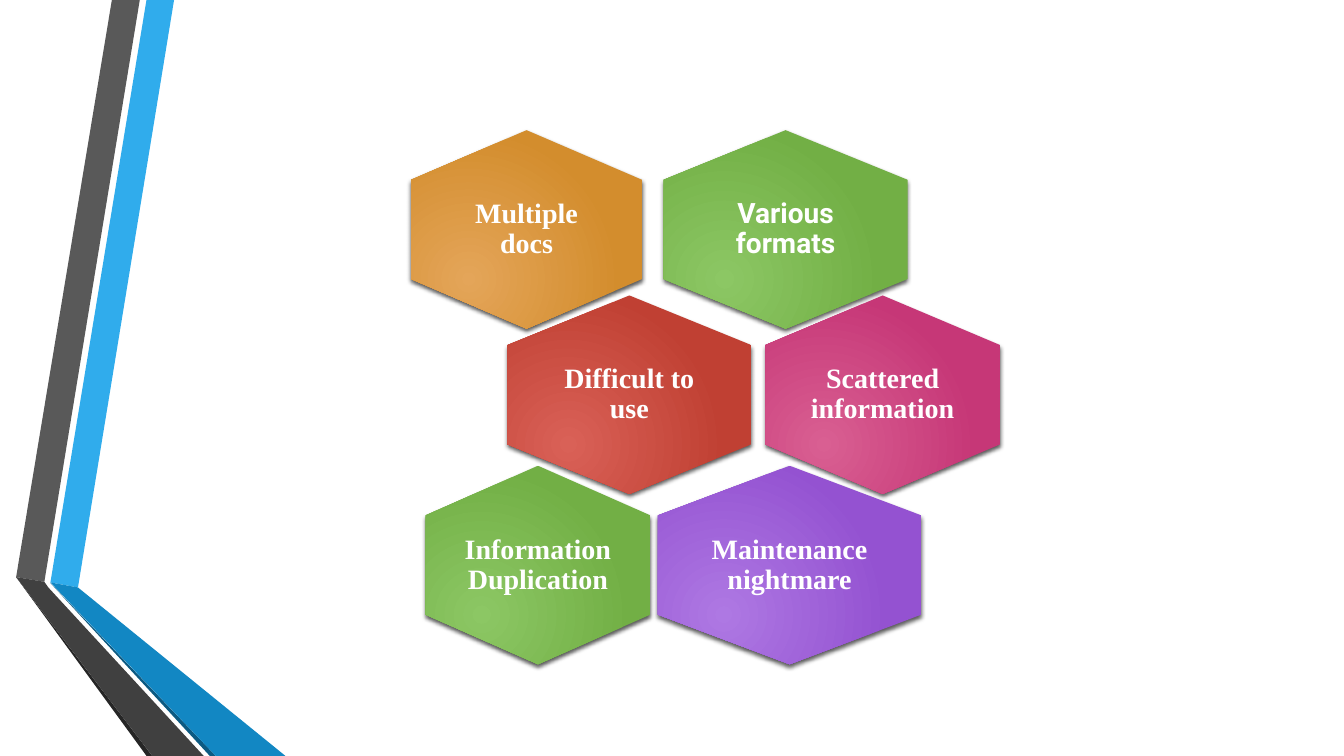
from lxml.etree import SubElement
from pptx import Presentation
from pptx.dml.color import RGBColor
from pptx.enum.shapes import MSO_SHAPE
from pptx.enum.text import MSO_ANCHOR, PP_ALIGN
from pptx.oxml import parse_xml
from pptx.oxml.ns import nsdecls, qn
from pptx.util import Inches, Pt

THEME = {
    "serif": "Times New Roman", "sans": "Roboto", "size": Pt(20), "text": "FFFFFF",
    "sky": "30ACEC", "blue": "1287C3", "navy": "0C5A82",
    "grey": "595959", "charcoal": "404040", "black": "262626",
    # inner and outer gradient colours
    "green": ("8CC764", "72AF45"), "orange": ("E4A559", "D38D2D"),
    "red": ("D96157", "C04033"), "pink": ("D95F92", "C63777"),
    "purple": ("AE78E3", "9452D1"),
}

deck = Presentation()
deck.slide_width, deck.slide_height = Inches(13.33), Inches(7.5)
slide = deck.slides.add_slide(deck.slide_layouts[6])
CELL = deck.slide_width / 40  # square grid: 40 columns by 22.5 rows


def centred(cx, cy, width, height):
    """Left, top, width and height of a box centred on a grid point."""
    return [round(v * CELL) for v in (cx - width / 2, cy - height / 2, width, height)]


def paint_glow(shape, inner, outer):
    """Radial gradient with a soft shadow below and no outline."""
    shape.fill.solid()
    solid = shape._element.spPr.find(qn("a:solidFill"))
    solid.getparent().replace(solid, parse_xml(
        f'<a:gradFill {nsdecls("a")} rotWithShape="1"><a:gsLst>'
        f'<a:gs pos="0"><a:srgbClr val="{inner}"/></a:gs>'
        f'<a:gs pos="100000"><a:srgbClr val="{outer}"/></a:gs></a:gsLst>'
        '<a:path path="circle"><a:fillToRect l="50000" t="100000" r="100000" b="50000"/>'
        '</a:path></a:gradFill>'))
    shape.line.fill.background()
    shape.shadow.inherit = False
    effects = shape._element.spPr.find(qn("a:effectLst"))
    cast = SubElement(effects, qn("a:outerShdw"), blurRad=str(Pt(3)), dist=str(Pt(2)),
                      dir="5400000", rotWithShape="0")
    tint = SubElement(cast, qn("a:srgbClr"), val="000000")
    SubElement(tint, qn("a:alpha"), val="64000")


# Folded ribbons on the left edge, corners in grid cells
ribbons = [
    ("sky", [(1.5, 17.34), (2.32, 17.49), (5.18, 0), (4.36, 0)]),
    ("grey", [(4.16, 0), (3.33, 0), (0.48, 17.18), (1.32, 17.32)]),
    ("black", [(0.48, 17.18), (4.36, 22.5), (4.53, 22.5)]),
    ("navy", [(1.5, 17.36), (6.24, 22.5), (6.42, 22.5)]),
    ("blue", [(1.5, 17.34), (6.42, 22.5), (8.49, 22.5), (2.32, 17.49)]),
    ("charcoal", [(6.06, 22.5), (1.44, 17.49), (1.32, 17.32), (0.48, 17.18), (4.53, 22.5)]),
]
for colour, corners in ribbons:
    start, *rest = [(x * 100, y * 100) for x, y in corners]
    outline = slide.shapes.build_freeform(*start, scale=CELL / 100)
    outline.add_line_segments(rest, close=True)
    ribbon = outline.convert_to_shape()
    ribbon.fill.solid()
    ribbon.fill.fore_color.rgb = RGBColor.from_string(THEME[colour])
    ribbon.line.fill.background()
    ribbon.shadow.inherit = False

# Honeycomb of problems: label, colour, font, centre column, row, width
ROWS = (6.83, 11.75, 16.82)
HEIGHT = 5.91
LABEL_SHARE = 2 / 3
problems = [
    ("Various formats", "green", "sans", 23.38, 0, 7.26),
    ("Multiple docs", "orange", "serif", 15.67, 0, 6.87),
    ("Difficult to use", "red", "serif", 18.73, 1, 7.26),
    ("Scattered information", "pink", "serif", 26.27, 1, 6.99),
    ("Maintenance nightmare", "purple", "serif", 23.5, 2, 7.84),
    ("Information Duplication", "green", "serif", 16.01, 2, 6.69),
]
for label, colour, font, cx, row, width in problems:
    cy = ROWS[row]
    # The hexagon is turned to stand on a point, so its sides swap
    hexagon = slide.shapes.add_shape(MSO_SHAPE.HEXAGON, *centred(cx, cy, HEIGHT, width))
    hexagon.rotation = 90
    paint_glow(hexagon, *THEME[colour])

    caption = slide.shapes.add_textbox(
        *centred(cx, cy, width * LABEL_SHARE, HEIGHT * LABEL_SHARE)).text_frame
    caption.word_wrap = True
    caption.vertical_anchor = MSO_ANCHOR.MIDDLE
    caption.margin_left = caption.margin_right = 0
    caption.margin_top = caption.margin_bottom = 0
    paragraph = caption.paragraphs[0]
    paragraph.text = label
    paragraph.alignment = PP_ALIGN.CENTER
    paragraph.line_spacing = 0.9
    paragraph.font.name = THEME[font]
    paragraph.font.size = THEME["size"]
    paragraph.font.bold = True
    paragraph.font.color.rgb = RGBColor.from_string(THEME["text"])

deck.save("out.pptx")
